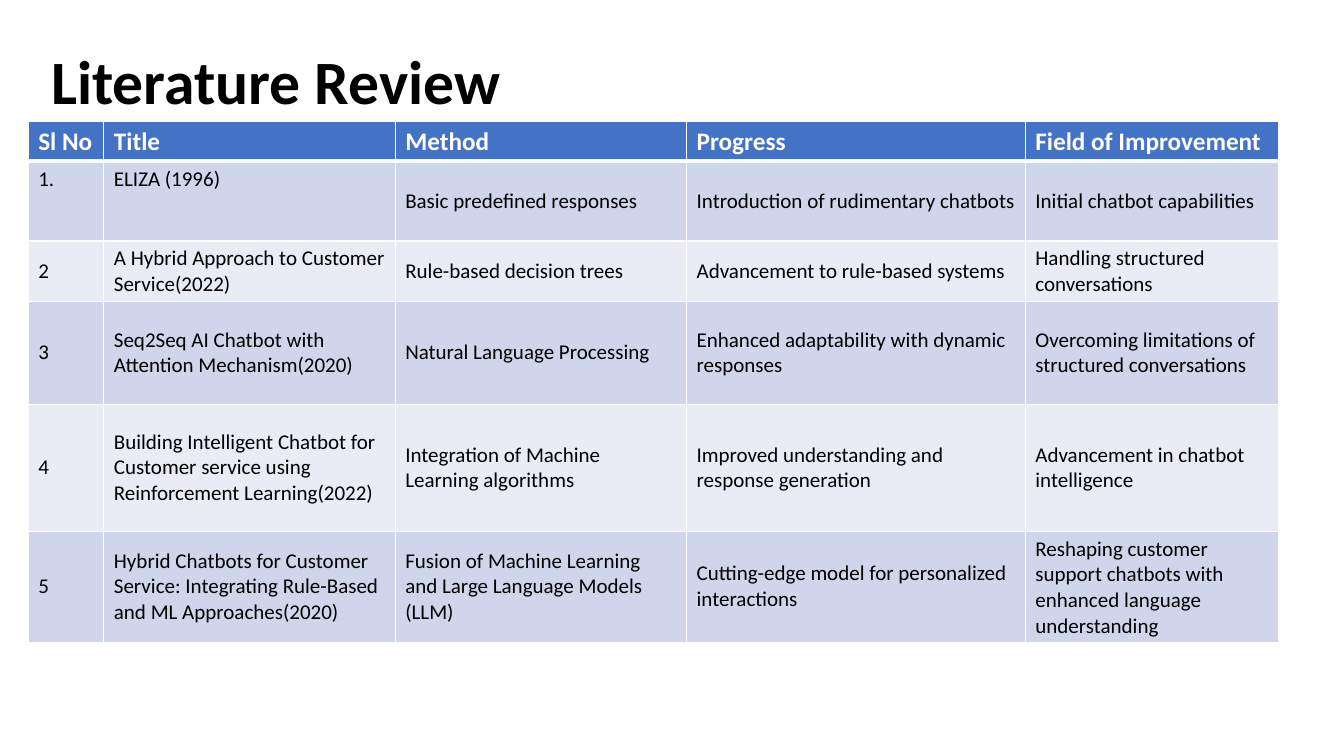
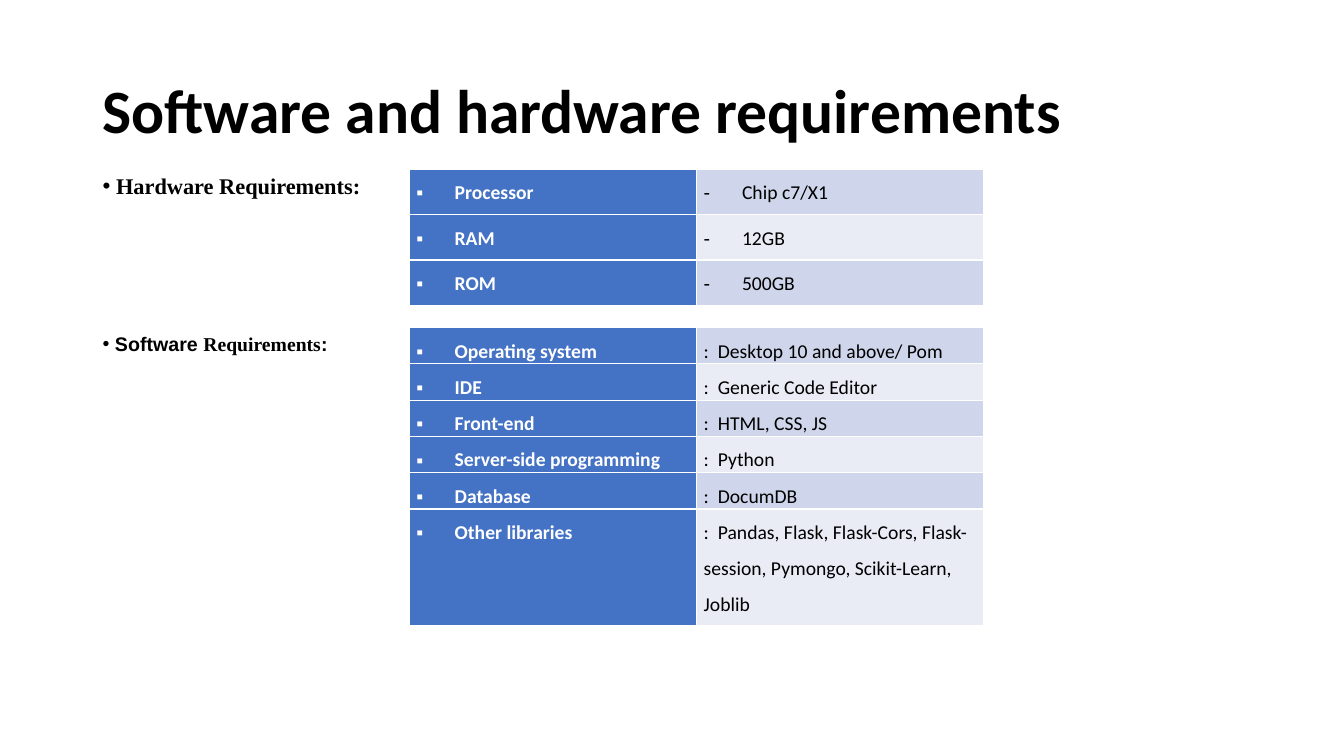
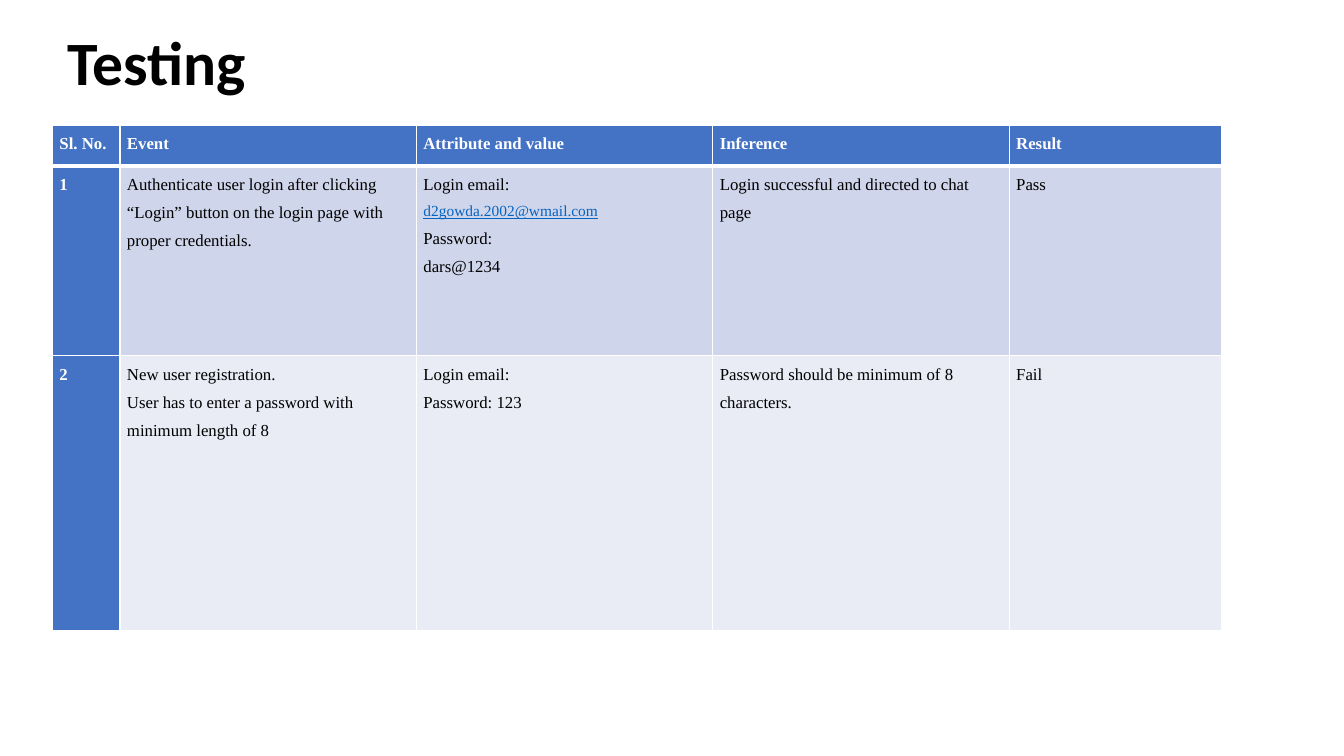
from lxml.etree import SubElement
from pptx import Presentation
from pptx.dml.color import RGBColor
from pptx.enum.text import MSO_ANCHOR
from pptx.oxml.ns import qn
from pptx.util import Inches, Pt

TOP, MIDDLE = MSO_ANCHOR.TOP, MSO_ANCHOR.MIDDLE
BLUE, BAND_DARK, BAND_LIGHT = "4472C4", "CFD5EA", "E9EBF5"
WHITE, BLACK, LINK = "FFFFFF", "000000", "0563C1"
SANS, SERIF, ARIAL = "Calibri", "Times New Roman", "Arial"

ROOMY = {"margin_left": Inches(0.1), "margin_right": Inches(0.1),
         "margin_top": Inches(0.05), "margin_bottom": Inches(0.05)}
TIGHT = {"margin_left": Inches(0.07), "margin_right": Inches(0.07),
         "margin_top": 0, "margin_bottom": 0}

REVIEW_ROWS = [
    ["Sl No", "Title", "Method", "Progress", "Field of Improvement"],
    ["1.", "ELIZA (1996)", "Basic predefined responses",
     "Introduction of rudimentary chatbots", "Initial chatbot capabilities"],
    ["2", "A Hybrid Approach to Customer Service(2022)", "Rule-based decision trees",
     "Advancement to rule-based systems", "Handling structured conversations"],
    ["3", "Seq2Seq AI Chatbot with Attention Mechanism(2020)",
     "Natural Language Processing", "Enhanced adaptability with dynamic responses",
     "Overcoming limitations of structured conversations"],
    ["4", "Building Intelligent Chatbot for Customer service using "
     "Reinforcement Learning(2022)", "Integration of Machine Learning algorithms",
     "Improved understanding and response generation",
     "Advancement in chatbot intelligence"],
    ["5", "Hybrid Chatbots for Customer Service: Integrating Rule-Based "
     "and ML Approaches(2020)",
     "Fusion of Machine Learning and Large Language Models (LLM)",
     "Cutting-edge model for personalized interactions",
     "Reshaping customer support chatbots with enhanced language understanding"],
]
HARDWARE_ROWS = [["Processor", "Chip c7/X1"], ["RAM", "12GB"], ["ROM", "500GB"]]
SOFTWARE_ROWS = [
    ["Operating system", ":\tDesktop 10 and above/ Pom"],
    ["IDE", ":\tGeneric Code Editor"],
    ["Front-end", ":\tHTML, CSS, JS"],
    ["Server-side programming", ":\tPython"],
    ["Database", ":\tDocumDB"],
    ["Other libraries",
     ":\tPandas, Flask, Flask-Cors, Flask-session, Pymongo, Scikit-Learn, Joblib"],
]
TESTING_ROWS = [
    ["Sl. No.", "Event", "Attribute and value", "Inference", "Result"],
    ["1", "Authenticate user login after clicking “Login” button on the login page "
     "with proper credentials.",
     "Login email:\nd2gowda.2002@wmail.com\nPassword:\ndars@1234",
     "Login successful and directed to chat page", "Pass"],
    ["2", "New user registration.\nUser has to enter a password with minimum length of 8",
     "Login email:\nPassword: 123", "Password should be minimum of 8 characters.", "Fail"],
]


def color(value):
    """Turn a hex string into a colour."""
    return RGBColor.from_string(value)


def set_values(target, values):
    """Set every attribute named in a dict."""
    for name, value in values.items():
        setattr(target, name, value)


def style_font(font, name, size, hex_color, bold=False, underline=False):
    """Give a font its face, size, colour and weight."""
    set_values(font, {"name": name, "size": Pt(size), "bold": bold,
                      "underline": underline})
    font.color.rgb = color(hex_color)


def add_bullet(paragraph, character, indent=0):
    """Put a bullet with a hanging indent before a paragraph."""
    properties = paragraph._p.get_or_add_pPr()
    properties.set("marL", str(Inches(indent)))
    properties.set("indent", str(-Inches(indent)))
    SubElement(properties, qn("a:buFont"), typeface=ARIAL)
    SubElement(properties, qn("a:buChar"), char=character)


def add_tab_stop(paragraph, position):
    """Add a left tab stop to a paragraph."""
    stops = SubElement(paragraph._p.get_or_add_pPr(), qn("a:tabLst"))
    SubElement(stops, qn("a:tab"), pos=str(Inches(position)), algn="l")


def add_borders(cell, widths):
    """Draw white cell borders, widths in points by side."""
    properties = cell._tc.get_or_add_tcPr()
    for index, (side, width) in enumerate(widths.items()):
        line = properties.makeelement(qn("a:ln" + side), {"w": str(Pt(width))})
        fill = SubElement(line, qn("a:solidFill"))
        SubElement(fill, qn("a:srgbClr"), val=WHITE)
        properties.insert(index, line)


def add_text_box(slide, left, top, width, height, wrap=True):
    """Add a middle-anchored text box and return its first paragraph."""
    frame = slide.shapes.add_textbox(
        Inches(left), Inches(top), Inches(width), Inches(height)).text_frame
    set_values(frame, {"word_wrap": wrap, "vertical_anchor": MIDDLE})
    return frame.paragraphs[0]


def add_title(slide, text, left, top, height=1.45):
    """Add the bold slide title."""
    paragraph = add_text_box(slide, left, top, 11.5, height)
    paragraph.line_spacing = 0.9
    run = paragraph.add_run()
    run.text = text
    style_font(run.font, SANS, 44, BLACK, True)


def add_label(slide, left, top, width, height, size, parts):
    """Add a bulleted bold label made of (text, font) parts."""
    paragraph = add_text_box(slide, left, top, width, height, wrap=False)
    add_bullet(paragraph, "•")
    for text, font_name in parts:
        run = paragraph.add_run()
        run.text = text
        style_font(run.font, font_name, size, BLACK, True)


def add_table(slide, left, top, widths, heights, rows, font_name, size, header_size=None,
              header_column=False, margins=TIGHT, spacing=None, bullets=None, tabs=None):
    """Add a banded table with an optional header row and header column."""
    table = slide.shapes.add_table(
        len(rows), len(widths), Inches(left), Inches(top),
        Inches(sum(widths)), Inches(sum(heights))).table
    has_header = header_size is not None
    set_values(table, {"first_row": has_header, "first_col": header_column})
    for column, width in zip(table.columns, widths):
        column.width = Inches(width)
    for row_index, (texts, height) in enumerate(zip(rows, heights)):
        table.rows[row_index].height = Inches(height)
        in_header = has_header and row_index == 0
        band = (BAND_DARK, BAND_LIGHT)[(row_index - has_header) % 2]
        borders = {"L": 1, "R": 1, "B": 3 if in_header else 1}
        if row_index == 0:
            borders["T"] = 1
        for column_index, text in enumerate(texts):
            strong = in_header or (header_column and column_index == 0)
            cell = table.cell(row_index, column_index)
            set_values(cell, margins)
            cell.text = text
            cell.fill.solid()
            cell.fill.fore_color.rgb = color(BLUE if strong else band)
            add_borders(cell, borders)
            for paragraph in cell.text_frame.paragraphs:
                paragraph.line_spacing = spacing
                for run in paragraph.runs:
                    style_font(run.font, font_name, header_size if in_header else size,
                               WHITE if strong else BLACK, strong)
                if bullets and column_index in bullets:
                    add_bullet(paragraph, bullets[column_index], 0.38)
                if tabs and column_index in tabs:
                    add_tab_stop(paragraph, tabs[column_index])
    return table


def build_review(slide):
    """Build the literature review slide."""
    add_title(slide, "Literature Review", 0.41, 0.27, 1.13)
    table = add_table(slide, 0.28, 1.2, [0.75, 2.89, 2.89, 3.36, 2.51],
                      [0.4, 0.79, 0.6, 1.02, 1.26, 1.1], REVIEW_ROWS, SANS, 15,
                      header_size=18, margins=ROOMY)
    for row in range(1, len(REVIEW_ROWS)):
        for column in range(len(REVIEW_ROWS[0])):
            top_aligned = row == 1 and column < 2
            table.cell(row, column).vertical_anchor = TOP if top_aligned else MIDDLE


def build_requirements(slide):
    """Build the requirements slide."""
    add_title(slide, "Software and hardware requirements", 0.92, 0.4)
    shared = {"font_name": SANS, "size": 14, "header_column": True, "spacing": 1.5}
    columns = [2.85, 2.85]
    add_table(slide, 4.06, 1.68, columns, [0.45] * 3, HARDWARE_ROWS,
              bullets={0: "▪", 1: "-"}, **shared)
    add_table(slide, 4.06, 3.25, columns, [0.36] * 5 + [1.16], SOFTWARE_ROWS,
              bullets={0: "▪"}, tabs={1: 0.14}, **shared)
    add_label(slide, 0.92, 3.24, 2.45, 0.34, 14,
              [(" Software ", ARIAL), ("Requirements", SERIF), (":", ARIAL)])
    add_label(slide, 0.92, 1.66, 2.79, 0.37, 16, [(" Hardware Requirements:", SERIF)])


def build_testing(slide):
    """Build the testing slide."""
    add_title(slide, "Testing", 0.57, -0.07)
    table = add_table(slide, 0.52, 1.24, [0.67, 2.94, 2.94, 2.94, 2.11],
                      [0.41, 1.88, 2.73], TESTING_ROWS, SERIF, 12, header_size=12,
                      header_column=True, spacing=1.5)
    email = table.cell(1, 2).text_frame.paragraphs[1].runs[0]
    style_font(email.font, SERIF, 11, LINK, underline=True)


def main():
    """Build and save the presentation."""
    presentation = Presentation()
    set_values(presentation, {"slide_width": Inches(13.33), "slide_height": Inches(7.5)})
    for build in (build_review, build_requirements, build_testing):
        build(presentation.slides.add_slide(presentation.slide_layouts[6]))
    presentation.save("out.pptx")


if __name__ == "__main__":
    main()
